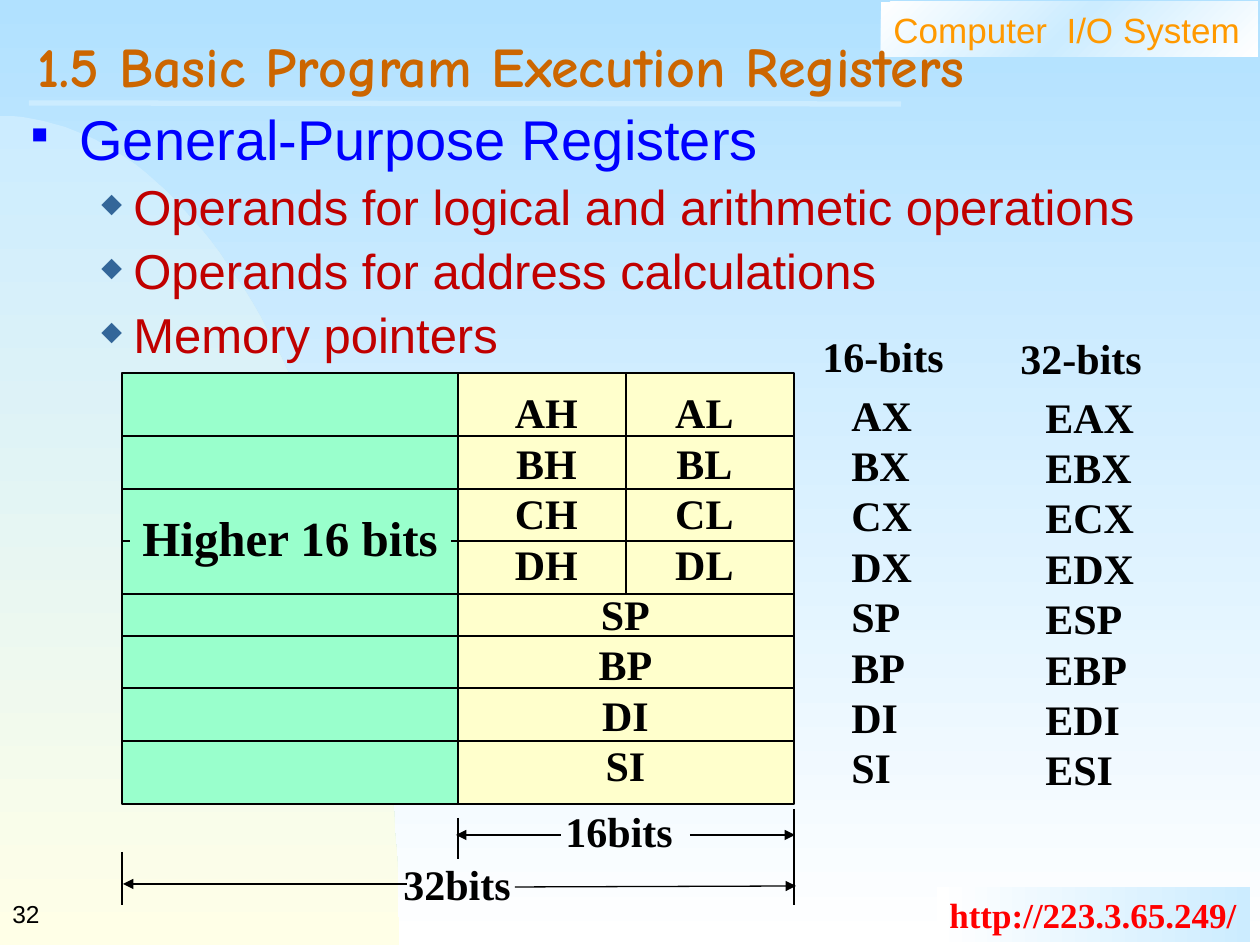
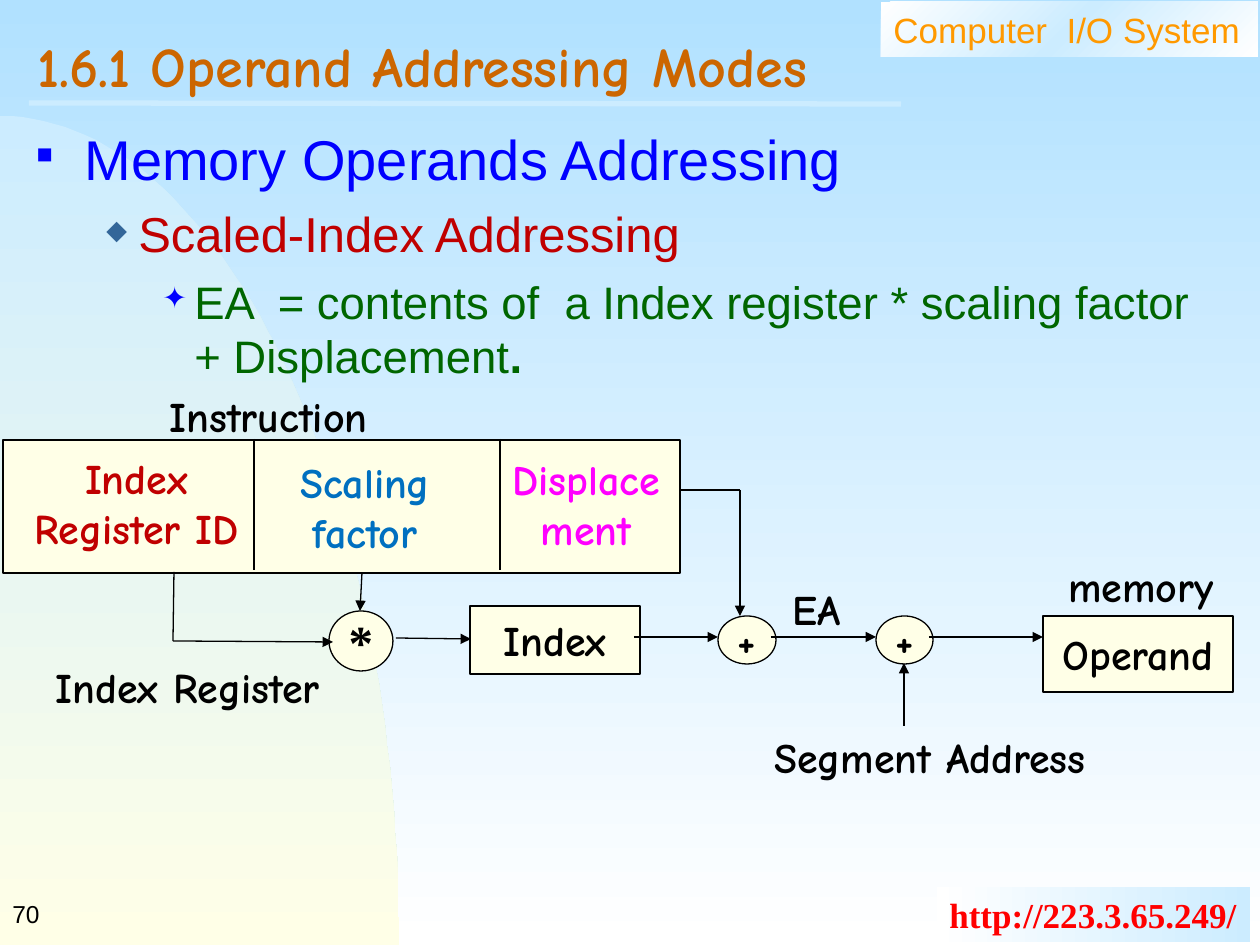
from copy import deepcopy

from lxml import etree
from pptx import Presentation
from pptx.dml.color import RGBColor
from pptx.enum.shapes import MSO_CONNECTOR, MSO_SHAPE
from pptx.enum.text import MSO_ANCHOR, PP_ALIGN
from pptx.oxml.ns import qn
from pptx.util import Emu, Pt

PX = 914400 / 126
PAGE_WIDTH, PAGE_HEIGHT = 1260, 945
LEADING = 1.2

RECT, OVAL = MSO_SHAPE.RECTANGLE, MSO_SHAPE.OVAL
STRAIGHT = MSO_CONNECTOR.STRAIGHT
LEFT, CENTER = PP_ALIGN.LEFT, PP_ALIGN.CENTER
TOP, MIDDLE = MSO_ANCHOR.TOP, MSO_ANCHOR.MIDDLE

SANS, SERIF, COMIC = "Arial", "Times New Roman", "Comic Neue"

BLACK = RGBColor(0x00, 0x00, 0x00)
WHITE = RGBColor(0xFF, 0xFF, 0xFF)
SKY = RGBColor(0xB1, 0xE1, 0xFF)
PALE_BLUE = RGBColor(0xCC, 0xEC, 0xFF)
IVORY = RGBColor(0xFF, 0xFF, 0xE7)
CREAM = RGBColor(0xFF, 0xFF, 0xCC)
MINT = RGBColor(0x99, 0xFF, 0xCC)
ORANGE = RGBColor(0xFF, 0x99, 0x00)
BROWN = RGBColor(0xCC, 0x66, 0x00)
RED = RGBColor(0xFF, 0x00, 0x00)
DARK_RED = RGBColor(0xC0, 0x00, 0x00)
BLUE = RGBColor(0x00, 0x00, 0xFF)
STEEL = RGBColor(0x33, 0x66, 0x99)
LIGHT_BLUE = RGBColor(0x00, 0x70, 0xC0)
GREEN = RGBColor(0x00, 0x66, 0x00)
MAGENTA = RGBColor(0xFF, 0x00, 0xFF)

OUTLINE_LEVELS = [
    dict(margin=48, indent=-48, mark="■", mark_color=BLUE, mark_size=40, size=32, color=BLUE),
    dict(margin=102, indent=-32, mark="◆", mark_color=STEEL, mark_size=55, size=28, color=DARK_RED),
    dict(margin=158, indent=-32, mark="✦", mark_color=BLUE, mark_size=65, size=26, color=GREEN),
]


def px(length):
    return Emu(round(length * PX))


def fill_gradient(fill, colors, angle):
    fill.gradient()
    fill.gradient_angle = (360 - angle) % 360
    stop_list = fill.gradient_stops[0]._gs.getparent()
    for _ in colors[2:]:
        stop_list.append(deepcopy(stop_list[0]))
    for index, (stop, color) in enumerate(zip(fill.gradient_stops, colors)):
        stop.color.rgb = color
        stop.position = index / (len(colors) - 1)


def add_span(para, text, font, size, color, bold):
    span = para.add_run()
    span.text = text
    span.font.name = font
    span.font.size = Pt(size)
    span.font.bold = bold
    span.font.color.rgb = color


def add_tabs(para, positions):
    tab_list = etree.SubElement(para._p.get_or_add_pPr(), qn("a:tabLst"))
    for position in positions:
        etree.SubElement(tab_list, qn("a:tab"), pos=str(px(position)), algn="ctr")


def add_bullet(para, level):
    props = para._p.get_or_add_pPr()
    props.set("marL", str(px(level["margin"])))
    props.set("indent", str(px(level["indent"])))
    color = etree.SubElement(props, qn("a:buClr"))
    etree.SubElement(color, qn("a:srgbClr"), val=str(level["mark_color"]))
    etree.SubElement(props, qn("a:buSzPct"), val=str(level["mark_size"] * 1000))
    etree.SubElement(props, qn("a:buChar"), char=level["mark"])


def write_text(box, text, font=SERIF, size=24, color=BLACK, bold=True, align=LEFT,
               anchor=TOP, wrap=True, spacing=None, tabs=None):
    frame = box.text_frame
    frame.word_wrap = wrap
    frame.vertical_anchor = anchor
    for index, line in enumerate(text.split("\n")):
        para = frame.paragraphs[0] if index == 0 else frame.add_paragraph()
        if tabs:
            add_tabs(para, tabs[line.count("\t")])
        para.alignment = align
        para.line_spacing = spacing or Pt(size * LEADING)
        add_span(para, line, font, size, color, bold)


def add_label(page, text, left, top, width, height, **text_format):
    box = page.shapes.add_textbox(px(left), px(top), px(width), px(height))
    write_text(box, text, **text_format)


def add_block(page, left, top, width, height, kind=RECT, fill=None, outlined=True):
    block = page.shapes.add_shape(kind, px(left), px(top), px(width), px(height))
    block.shadow.inherit = False
    if fill is not None:
        block.fill.solid()
        block.fill.fore_color.rgb = fill
    if outlined:
        block.line.color.rgb = BLACK
        block.line.width = Pt(0.75)
    else:
        block.line.fill.background()
    return block


def add_line(page, x1, y1, x2, y2, color=BLACK, width=0.75, arrow=False):
    line = page.shapes.add_connector(STRAIGHT, px(x1), px(y1), px(x2), px(y2))
    line.line.color.rgb = color
    line.line.width = Pt(width)
    if arrow:
        etree.SubElement(line.line._get_or_add_ln(), qn("a:tailEnd"), type="triangle")
    etree.SubElement(line._element.spPr, qn("a:effectLst"))


def add_node(page, text, left, top, width, height, kind=RECT, font=COMIC, size=24):
    node = add_block(page, left, top, width, height, kind, IVORY)
    write_text(node, text, font=font, size=size, align=CENTER, anchor=MIDDLE, wrap=False)


def add_dome(page):
    corners = [(0, 116), (220, 116), (399, 488), (399, PAGE_HEIGHT)]
    steps = 60
    curve = []
    for step in range(1, steps + 1):
        t = step / steps
        weights = [(1 - t) ** 3, 3 * t * (1 - t) ** 2, 3 * t * t * (1 - t), t ** 3]
        curve.append(tuple(sum(w * corner[axis] for w, corner in zip(weights, corners))
                           for axis in (0, 1)))
    builder = page.shapes.build_freeform(*corners[0], scale=PX)
    builder.add_line_segments(curve + [(0, PAGE_HEIGHT)], close=True)
    dome = builder.convert_to_shape()
    dome.shadow.inherit = False
    dome.line.fill.background()
    fill_gradient(dome.fill, [PALE_BLUE, IVORY], 90)


def add_outline(page, left, top, height, items):
    box = page.shapes.add_textbox(px(left), px(top), px(1210), px(height))
    frame = box.text_frame
    frame.word_wrap = True
    for index, (depth, text, space) in enumerate(items):
        level = OUTLINE_LEVELS[depth]
        para = frame.paragraphs[0] if index == 0 else frame.add_paragraph()
        add_bullet(para, level)
        para.line_spacing = Pt(level["size"] * LEADING)
        para.space_before = Pt(space)
        add_span(para, text, SANS, level["size"], level["color"], False)
    return para


def add_page(deck, title, number):
    page = deck.slides.add_slide(deck.slide_layouts[6])
    fill_gradient(page.background.fill, [SKY, WHITE], 90)
    add_dome(page)
    course = add_block(page, 881, 2, 377, 55, outlined=False)
    fill_gradient(course.fill, [WHITE, PALE_BLUE, WHITE], 45)
    write_text(course, "Computer  I/O System", font=SANS, size=20, color=ORANGE, bold=False)
    address = add_block(page, 937, 887, 313, 55, outlined=False)
    fill_gradient(address.fill, [WHITE, PALE_BLUE], 0)
    write_text(address, "http://223.3.65.249/", size=20, color=RED, wrap=False)
    add_line(page, 29, 103, 901, 104, color=PALE_BLUE, width=3)
    add_label(page, title, 25, 25, 1203, 97, font=COMIC, size=32, color=BROWN,
              anchor=MIDDLE, spacing=0.7)
    add_label(page, number, 0, 882, 262, 63, font=SANS, size=14, bold=False, anchor=MIDDLE)
    return page


def draw_registers(page):
    left, middle, right, top, height = 122, 458, 794, 373, 431
    half = middle - left
    lower = add_block(page, middle, top, half, height, fill=CREAM)
    write_text(lower, "\tAH\tAL\n\tBH\tBL\n\tCH\tCL\n\tDH\tDL\n\tSP\n\tBP\n\tDI\n\tSI",
               anchor=MIDDLE, tabs={1: [155], 2: [76, 234]})
    add_block(page, left, top, half, height, fill=MINT)
    for y in (436, 489, 541, 594, 636, 688, 741):
        add_line(page, left, y, right, y)
    add_line(page, 626, top, 626, 594)
    higher = add_block(page, 130, 501, 321, 72, fill=MINT, outlined=False)
    write_text(higher, "Higher 16 bits", size=28, wrap=False)


def draw_widths(page):
    for x, start, end in [(122, 852, 905), (794, 852, 905), (458, 818, 859), (794, 809, 864)]:
        add_line(page, x, start, x, end)
    add_label(page, "32bits", 391, 852, 141, 63, wrap=False)
    add_label(page, "16bits", 553, 799, 134, 63, wrap=False)
    for start, y1, end, y2 in [(407, 884, 123, 884), (515, 887, 796, 886),
                               (561, 835, 456, 835), (690, 835, 795, 835)]:
        add_line(page, start, y1, end, y2, arrow=True)


def draw_names(page):
    names = ["AX", "BX", "CX", "DX", "SP", "BP", "DI", "SI"]
    add_label(page, "16-bits", 810, 324, 165, 63)
    add_label(page, "\n".join(names), 839, 383, 130, 416)
    add_label(page, "32-bits", 1008, 326, 158, 63)
    add_label(page, "\n".join("E" + name for name in names), 1033, 385, 130, 416)


def draw_instruction(page):
    add_block(page, 3, 440, 677, 133, fill=IVORY)
    for x in (254, 500):
        add_line(page, x, 439, x, 570, width=1.5)
    for text, left, top, width, color in [
        ("Index Register ID", -1, 446, 275, DARK_RED),
        ("Scaling factor", 268, 450, 194, LIGHT_BLUE),
        ("Displacement", 489, 447, 194, MAGENTA),
    ]:
        add_label(page, text, left, top, width, 113, font=COMIC, color=color, align=CENTER)


def draw_address_flow(page):
    add_node(page, "Index", 470, 606, 170, 68)
    add_node(page, "+", 718, 616, 58, 48, kind=OVAL)
    add_node(page, "+", 876, 616, 57, 48, kind=OVAL)
    add_node(page, "Operand", 1043, 616, 190, 76)
    add_node(page, "*", 329, 611, 64, 60, kind=OVAL, font=SERIF, size=28)
    for points in [(634, 637, 718, 637), (771, 637, 876, 637), (929, 637, 1043, 637),
                   (740, 490, 740, 616), (396, 638, 471, 639), (173, 641, 333, 642),
                   (904, 726, 904, 663), (362, 573, 360, 611)]:
        add_line(page, *points, arrow=True)
    add_line(page, 680, 490, 740, 490)
    add_line(page, 174, 572, 173, 641)
    for text, left, top, width in [
        ("Instruction", 157, 384, 226), ("Index Register", 43, 655, 338),
        ("Segment Address", 762, 725, 381), ("memory", 1056, 554, 172), ("EA", 780, 577, 73),
    ]:
        add_label(page, text, left, top, width, 63, font=COMIC, wrap=False)


def main():
    deck = Presentation()
    deck.slide_width, deck.slide_height = px(PAGE_WIDTH), px(PAGE_HEIGHT)

    page = add_page(deck, "1.5 Basic Program Execution Registers", "32")
    add_outline(page, 19, 98, 823, [
        (0, "General-Purpose Registers", 0),
        (1, "Operands for logical and arithmetic operations", 3),
        (1, "Operands for address calculations", 3),
        (1, "Memory pointers", 3),
    ])
    draw_registers(page)
    draw_widths(page)
    draw_names(page)

    page = add_page(deck, "1.6.1 Operand Addressing Modes", "70")
    formula = add_outline(page, 24, 118, 784, [
        (0, "Memory Operands Addressing", 0),
        (1, "Scaled-Index Addressing", 7),
        (2, "EA  = contents of  a Index register * scaling factor + Displacement", 6.5),
    ])
    add_span(formula, ".", SANS, 26, GREEN, True)
    draw_instruction(page)
    draw_address_flow(page)

    deck.save("out.pptx")


if __name__ == "__main__":
    main()
